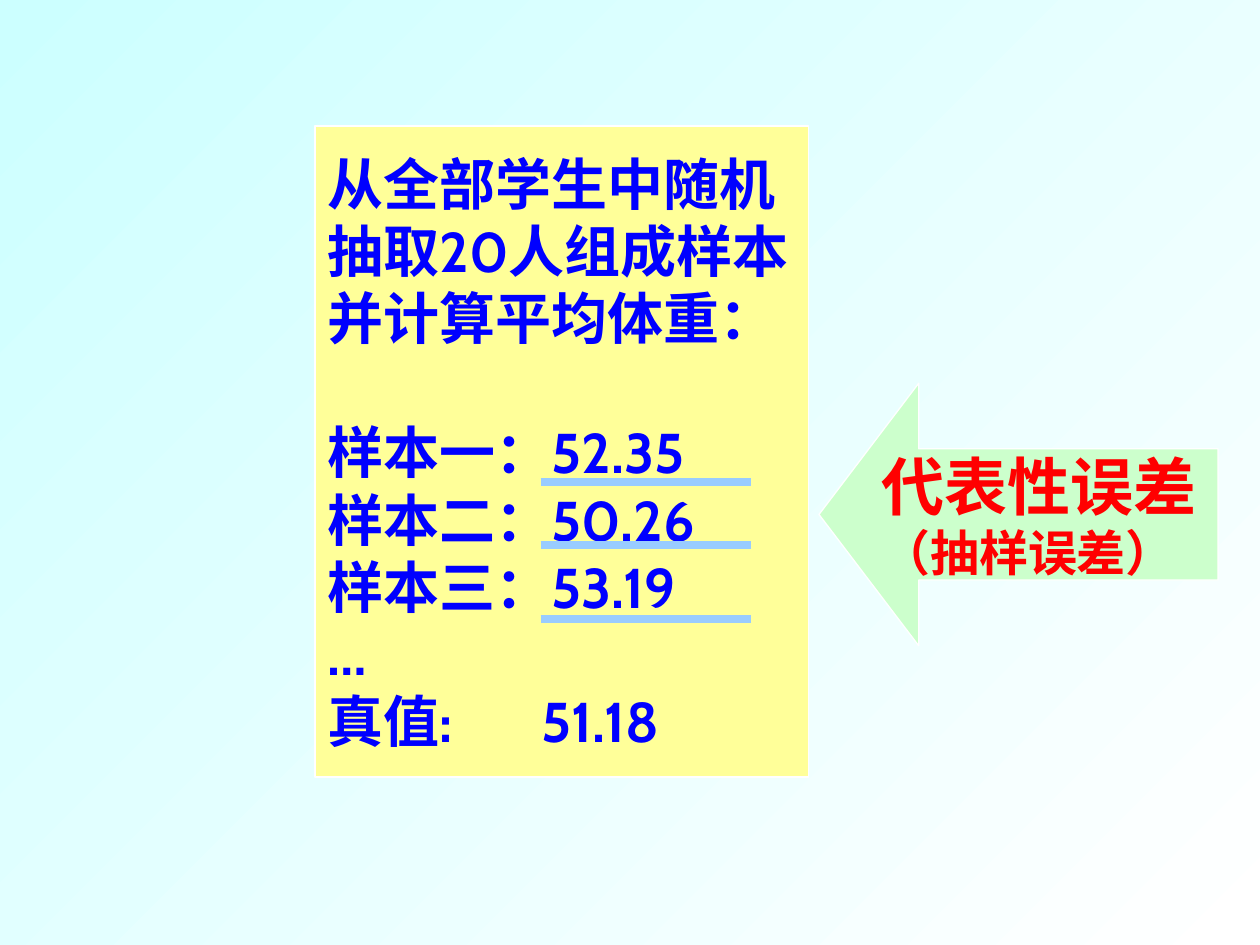
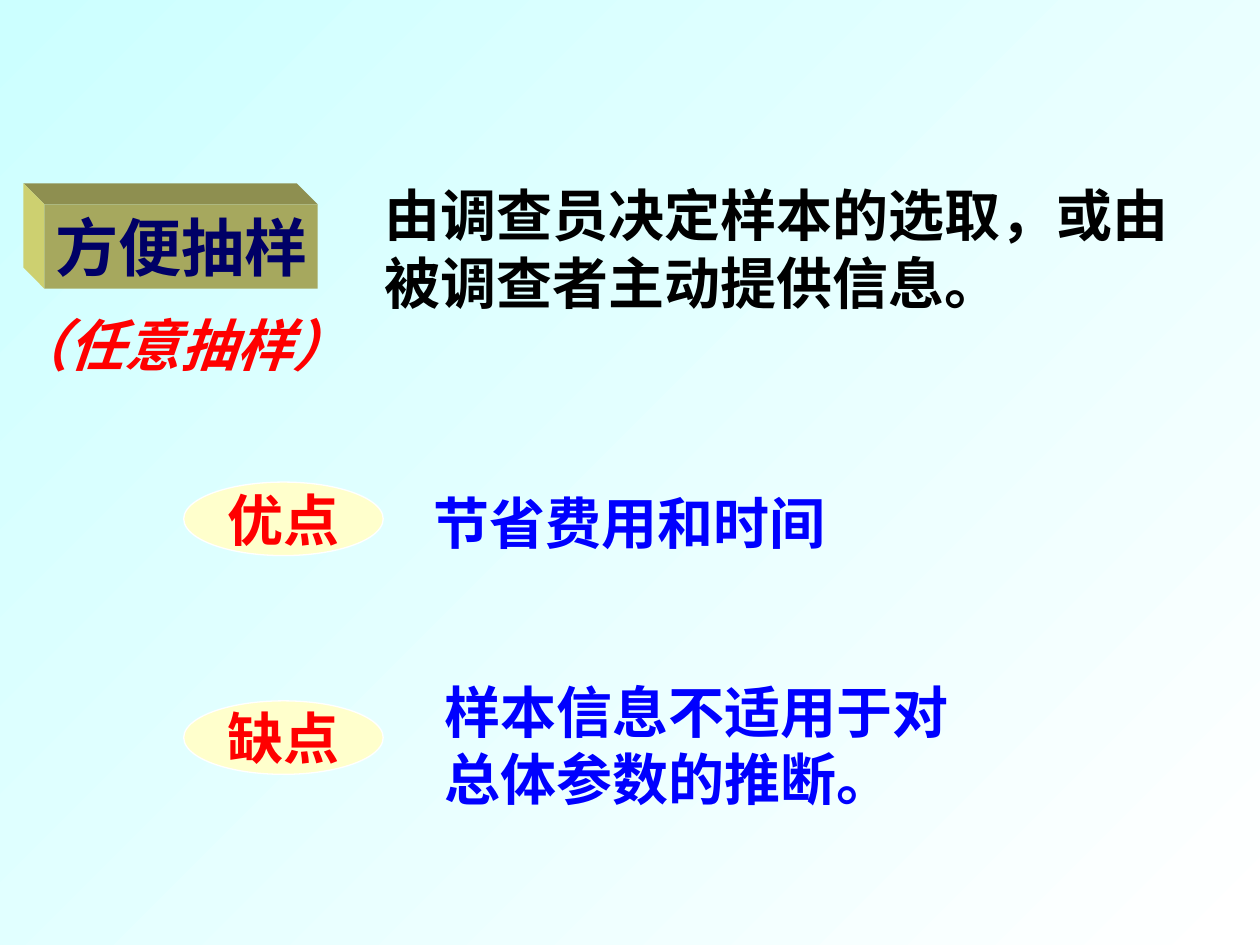
from lxml.etree import SubElement
from pptx import Presentation
from pptx.dml.color import RGBColor
from pptx.enum.shapes import MSO_CONNECTOR, MSO_SHAPE
from pptx.enum.text import MSO_ANCHOR, PP_ALIGN
from pptx.oxml.ns import qn
from pptx.util import Pt

COLORS = {
    "sky": "CCFFFF", "white": "FFFFFF", "black": "000000",
    "blue": "0000FF", "navy": "000066", "red": "FF0000",
    "yellow": "FFFF99", "cream": "FFFFCC", "green": "CCFFCC",
    "strike": "99CCFF", "front": "A6A85E", "top": "8E8F50", "side": "CDD070",
}
SERIF = "Times New Roman"
HAN = "Noto Sans CJK SC"


def rgb(name):
    return RGBColor.from_string(COLORS[name])


def add_page(deck):
    page = deck.slides.add_slide(deck.slide_layouts[6])
    fill = page.background.fill
    fill.gradient()
    fill.gradient_angle = 315
    for stop, name in zip(fill.gradient_stops, ("sky", "white")):
        stop.color.rgb = rgb(name)
    return page


def paint(shape, fill, line=None):
    shape.shadow.inherit = False
    shape.fill.solid()
    shape.fill.fore_color.rgb = rgb(fill)
    if line:
        shape.line.color.rgb = rgb(line)
        shape.line.width = Pt(0.75)
    else:
        shape.line.fill.background()


def write(shape, lines, color, size=32, face=SERIF, align=PP_ALIGN.LEFT,
          anchor=MSO_ANCHOR.MIDDLE, wrap=True, tab=None):
    """Fill the shape with one paragraph a line and return the paragraphs."""
    frame = shape.text_frame
    frame.word_wrap = wrap
    frame.vertical_anchor = anchor
    frame.text = "\n".join(lines)
    for para in frame.paragraphs:
        para.alignment = align
        props = para._p.get_or_add_pPr()
        props.set("hangingPunct", "0")
        if tab:
            stops = SubElement(props, qn("a:tabLst"))
            SubElement(stops, qn("a:tab"), pos=str(Pt(tab)), algn="l")
        font = para.font
        font.size, font.bold, font.name = Pt(size), True, face
        font.color.rgb = rgb(color)
        SubElement(font._element, qn("a:ea"), typeface=HAN)
    return frame.paragraphs


def add_box(page, kind, box, fill, line="white"):
    shape = page.shapes.add_shape(kind, *map(Pt, box))
    paint(shape, fill, line)
    return shape


def add_text(page, box, text, color, face=SERIF, anchor=MSO_ANCHOR.TOP):
    shape = page.shapes.add_textbox(*map(Pt, box))
    return write(shape, [text], color, face=face, anchor=anchor)[0]


def add_strike(page, left, right, y):
    line = page.shapes.add_connector(
        MSO_CONNECTOR.STRAIGHT, Pt(left), Pt(y), Pt(right), Pt(y))
    line.line.color.rgb = rgb("strike")
    line.line.width = Pt(4.5)
    SubElement(line._element.spPr, qn("a:effectLst"))


def add_face(page, points, fill):
    start, *rest = [(Pt(x), Pt(y)) for x, y in points]
    outline = page.shapes.build_freeform(*start)
    outline.add_line_segments(rest, close=True)
    paint(outline.convert_to_shape(), fill)


def add_block(page, x, y, w, h, depth, text):
    """Draw a block whose top and left sides recede up and to the left."""
    back_x, back_y = x - depth, y - depth
    add_face(page, [(x, y), (back_x, back_y), (back_x + w, back_y),
                    (x + w, y)], "top")
    add_face(page, [(x, y), (back_x, back_y), (back_x, back_y + h),
                    (x, y + h)], "side")
    front = add_box(page, MSO_SHAPE.RECTANGLE, (x, y, w, h), "front", None)
    write(front, [text], "navy", 36, align=PP_ALIGN.CENTER, wrap=False)


def add_badge(page, y, text):
    oval = add_box(page, MSO_SHAPE.OVAL, (105, y, 114, 42), "cream")
    write(oval, [text], "red", align=PP_ALIGN.CENTER, wrap=False)


def draw_error(deck):
    page = add_page(deck)
    panel = add_box(page, MSO_SHAPE.RECTANGLE, (180, 72, 282, 372), "yellow")
    lines = ["从全部学生中随机抽取20人组成样本并计算平均体重：",
             "样本一：52.35", "样本二：50.26", "样本三：53.19",
             "…", "真值:\t51.18"]
    paras = write(panel, lines, "blue", face="Cabin", tab=122.5)
    paras[1].space_before = Pt(38.4)
    for y in (275.5, 311.5, 353.5):
        add_strike(page, 309, 429, y)

    arrow = add_box(page, MSO_SHAPE.LEFT_ARROW, (468, 219, 228, 150), "green")
    arrow.adjustments[0], arrow.adjustments[1] = 0.5, 0.38
    paras = write(arrow, ["代表性误差", "（抽样误差）"], "red", 36)
    paras[1].font.size = Pt(28)


def draw_method(deck):
    page = add_page(deck)
    add_text(page, (212.5, 99.8, 490, 84),
             "由调查员决定样本的选取，或由被调查者主动提供信息。", "black", HAN)
    add_badge(page, 275.5, "优点")
    add_badge(page, 400.5, "缺点")
    add_text(page, (240.8, 275.5, 348, 45), "节省费用和时间", "blue")
    add_text(page, (246.8, 383.5, 323, 84),
             "样本信息不适用于对总体参数的推断。", "blue")
    add_block(page, 25.4, 116.8, 156.2, 48.2, 12, "方便抽样")
    alias = add_text(page, (0, 174, 223, 45), "（任意抽样）", "red", HAN,
                     MSO_ANCHOR.MIDDLE)
    alias.font.italic = True


def main():
    deck = Presentation()
    deck.slide_width, deck.slide_height = Pt(720), Pt(540)
    draw_error(deck)
    draw_method(deck)
    deck.save("out.pptx")


if __name__ == "__main__":
    main()
